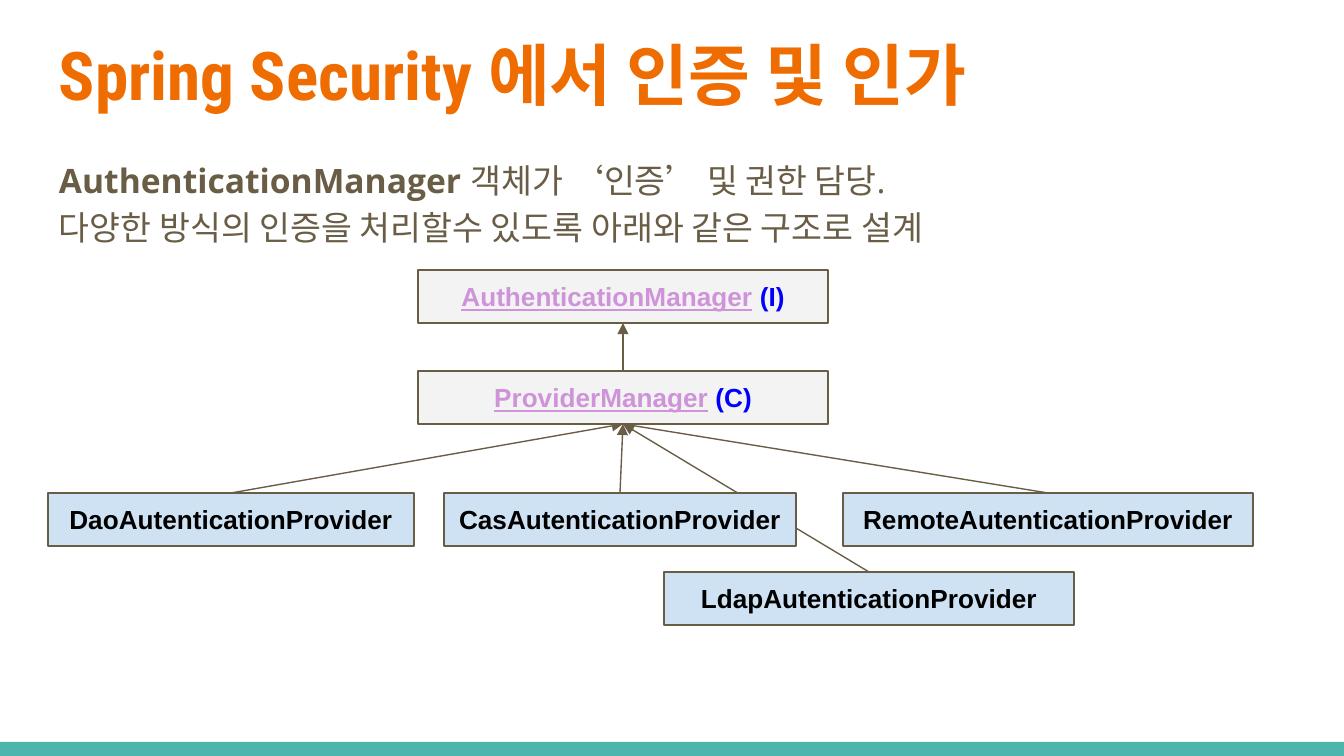
"""Build the slide on the authentication class structure in Spring Security."""
from pptx import Presentation
from pptx import util as u
from pptx.dml.color import RGBColor
from pptx.enum import shapes, text
from pptx.oxml.ns import qn
from lxml import etree

TITLE = "Spring Security 에서 인증 및 인가"
LEAD = [
    [("AuthenticationManager", "strong"), (" 객체가 ‘인증’ 및 권한 담당.", "body")],
    [("다양한 방식의 인증을 처리할수 있도록 아래와 같은 구조로 설계", "body")],
]
CORE = [("AuthenticationManager", " (I)", 270), ("ProviderManager", " (C)", 371)]
KINDS = [
    ("DaoAutenticationProvider", 48, 493, 366),
    ("CasAutenticationProvider", 444, 493, 352),
    ("RemoteAutenticationProvider", 843, 493, 410),
    ("LdapAutenticationProvider", 664, 572, 410),
]
THEME = {
    "line": "695D46", "core": "F3F3F3", "kind": "CFE2F3", "bar": "4DB6AC",
    "title": dict(name="Roboto Condensed", size=36, bold=True, color="EF6C00"),
    "strong": dict(name="Open Sans", size=18, bold=True, color="695D46"),
    "body": dict(name="Open Sans", size=18, bold=False, color="695D46"),
    "link": dict(name="Arial", size=14, bold=True, underline=True, color="CE93D8"),
    "mark": dict(name="Arial", size=14, bold=True, color="0000FF"),
    "label": dict(name="Arial", size=14, bold=True, color="000000"),
}
WIDE, HIGH = 1344, 756
CORE_X, CORE_W, BOX_H, PAD = 418, 410, 53, 13
SCALE = u.Inches(10) / WIDE


def px(*vals):
    return [u.Emu(round(v * SCALE)) for v in vals]


def rgb(key):
    return RGBColor.from_string(key)


def write(para, words, style):
    run = para.add_run()
    run.text = words
    for key, val in THEME[style].items():
        if key == "color":
            run.font.color.rgb = rgb(val)
        else:
            setattr(run.font, key, u.Pt(val) if key == "size" else val)


def frame(shape, anchor):
    body = shape.text_frame
    pad, = px(PAD)
    form = dict(word_wrap=True, auto_size=text.MSO_AUTO_SIZE.NONE,
                vertical_anchor=anchor, margin_left=pad, margin_right=pad,
                margin_top=pad, margin_bottom=pad)
    for key, val in form.items():
        setattr(body, key, val)
    return body.paragraphs[0]


def rect(slide, fill, *area):
    shape = slide.shapes.add_shape(shapes.MSO_SHAPE.RECTANGLE, *px(*area))
    shape.shadow.inherit = False
    shape.fill.solid()
    shape.fill.fore_color.rgb = rgb(THEME[fill])
    shape.line.fill.background()
    return shape


def box(slide, fill, runs, *area):
    shape = rect(slide, fill, *area)
    shape.line.color.rgb = rgb(THEME["line"])
    shape.line.width = u.Pt(0.75)
    para = frame(shape, text.MSO_ANCHOR.MIDDLE)
    para.alignment = text.PP_ALIGN.CENTER
    for words, style in runs:
        write(para, words, style)
    return shape


def arrow(slide, child, parent):
    link = slide.shapes.add_connector(shapes.MSO_CONNECTOR.STRAIGHT, 0, 0, 0, 0)
    link.begin_connect(child, 0)
    link.end_connect(parent, 2)
    link.line.color.rgb = rgb(THEME["line"])
    link.line.width = u.Pt(0.75)
    etree.SubElement(link.line._get_or_add_ln(), qn("a:tailEnd"), type="triangle")
    etree.SubElement(link._element.spPr, qn("a:effectLst"))
    slide.shapes._spTree.insert(2, link._element)


def main():
    deck = Presentation()
    deck.slide_width, deck.slide_height = px(WIDE, HIGH)
    slide = deck.slides.add_slide(deck.slide_layouts[5])
    rect(slide, "bar", 0, 742, WIDE, 14)

    title = slide.shapes.title
    title.left, title.top, title.width, title.height = px(46, 20, 1252, 104)
    para = frame(title, text.MSO_ANCHOR.TOP)
    para.alignment = text.PP_ALIGN.LEFT
    write(para, TITLE, "title")

    lead = slide.shapes.add_textbox(*px(46, 141, 1252, 104))
    para = frame(lead, text.MSO_ANCHOR.TOP)
    para.line_spacing = 1.15
    para.space_after = u.Pt(16)
    for row, runs in enumerate(LEAD):
        if row:
            para.add_line_break()
        for words, style in runs:
            write(para, words, style)

    top, base = [box(slide, "core", [(name, "link"), (mark, "mark")],
                     CORE_X, y, CORE_W, BOX_H) for name, mark, y in CORE]
    arrow(slide, base, top)
    for name, x, y, wide in KINDS:
        kind = box(slide, "kind", [(name, "label")], x, y, wide, BOX_H)
        arrow(slide, kind, base)
    deck.save("out.pptx")


if __name__ == "__main__":
    main()
